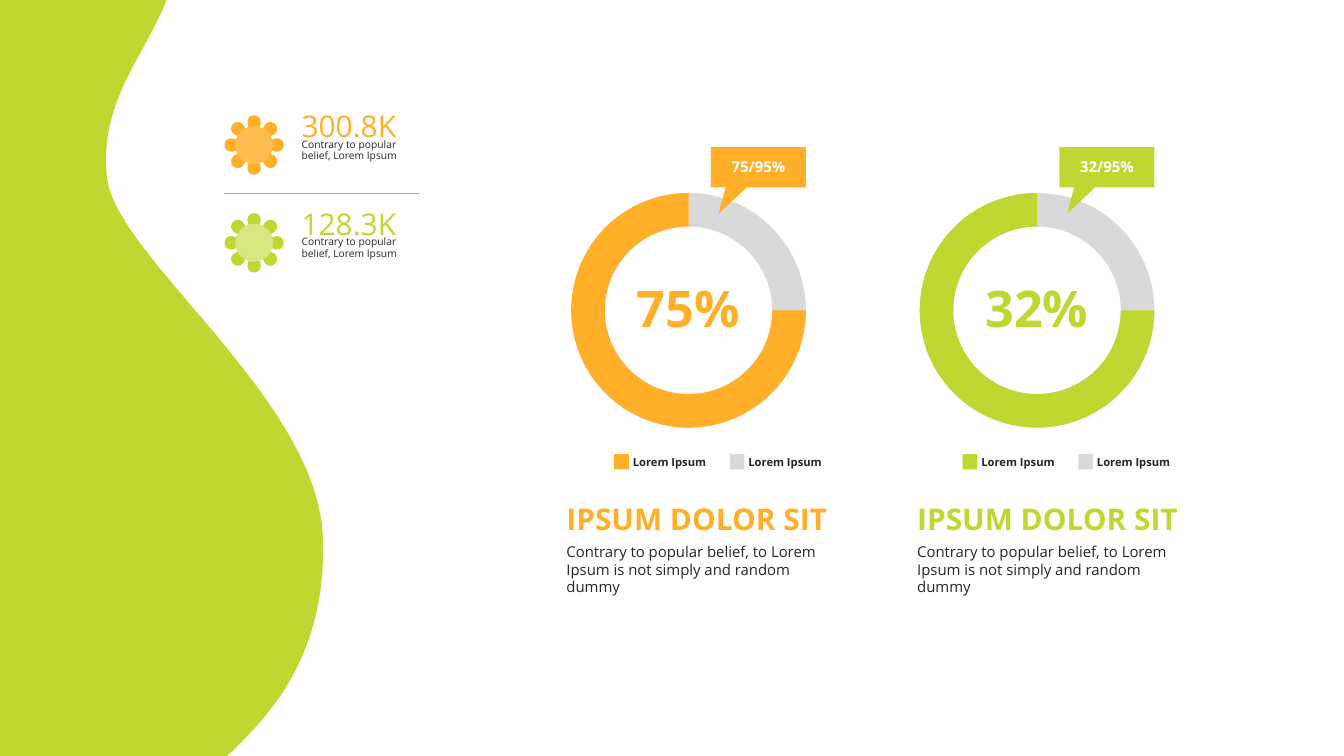
import math

import lxml.etree
import pptx
import pptx.dml.color
import pptx.enum.shapes
import pptx.enum.text
import pptx.oxml.ns
import pptx.util

RGBColor = pptx.dml.color.RGBColor
Pt = pptx.util.Pt
MSO_SHAPE = pptx.enum.shapes.MSO_SHAPE
PP_ALIGN = pptx.enum.text.PP_ALIGN

ORANGE = RGBColor(0xFF, 0xAF, 0x28)
PALE_ORANGE = RGBColor(0xFF, 0xBD, 0x4F)
GREEN = RGBColor(0xBF, 0xD7, 0x30)
PALE_GREEN = RGBColor(0xD9, 0xE7, 0x83)
GREY = RGBColor(0xD9, 0xD9, 0xD9)
RULE_GREY = RGBColor(0xA6, 0xA6, 0xA6)
INK = RGBColor(0x26, 0x26, 0x26)
WHITE = RGBColor(0xFF, 0xFF, 0xFF)


def bezier(start, first, second, end, steps=24):
    """Return points along a cubic curve, without its start."""
    points = []
    for step in range(1, steps + 1):
        t = step / steps
        weights = ((1 - t) ** 3, 3 * t * (1 - t) ** 2, 3 * t * t * (1 - t), t ** 3)
        points.append(tuple(
            sum(weight * value for weight, value in zip(weights, axis))
            for axis in zip(start, first, second, end)))
    return points


class Painter:
    """Hold the style and the current slide, and draw each kind of element."""

    def __init__(self, slide, font="Open Sans"):
        self.shapes = slide.shapes
        self.font = font

    def paint(self, shape, color):
        """Give a shape a flat fill with no line or shadow."""
        shape.shadow.inherit = False
        shape.fill.solid()
        shape.fill.fore_color.rgb = color
        shape.line.fill.background()

    def preset(self, kind, left, top, width, height, color, adjustments=()):
        """Draw a filled preset shape."""
        shape = self.shapes.add_shape(kind, Pt(left), Pt(top), Pt(width), Pt(height))
        for index, value in enumerate(adjustments):
            shape.adjustments[index] = value
        self.paint(shape, color)

    def outline(self, points, color):
        """Draw a filled closed outline."""
        corners = [(Pt(x), Pt(y)) for x, y in points]
        builder = self.shapes.build_freeform(*corners[0], scale=1.0)
        builder.add_line_segments(corners[1:], close=True)
        self.paint(builder.convert_to_shape(), color)

    def text(self, wording, left, top, width, height, size, color,
             bold=False, wrap=True, align=PP_ALIGN.LEFT, spacing=None):
        """Write one paragraph in a text box."""
        box = self.shapes.add_textbox(Pt(left), Pt(top), Pt(width), Pt(height))
        frame = box.text_frame
        frame.word_wrap = wrap
        frame.auto_size = pptx.enum.text.MSO_AUTO_SIZE.SHAPE_TO_FIT_TEXT
        frame.text = wording
        paragraph = frame.paragraphs[0]
        paragraph.alignment = align
        if spacing:
            paragraph.line_spacing = Pt(spacing)
        font = paragraph.runs[0].font
        font.name, font.size, font.bold = self.font, Pt(size), bold
        font.color.rgb = color

    def rule(self, left, right, y):
        """Draw a thin horizontal line."""
        line = self.shapes.add_connector(
            pptx.enum.shapes.MSO_CONNECTOR.STRAIGHT, Pt(left), Pt(y), Pt(right), Pt(y))
        line.line.color.rgb = RULE_GREY
        line.line.width = Pt(1)
        properties = line._element.find(pptx.oxml.ns.qn("p:spPr"))
        lxml.etree.SubElement(properties, pptx.oxml.ns.qn("a:effectLst"))

    def wave(self):
        """Draw the green band along the left edge."""
        edge = [(180, -5), (177.1, 3.6)]
        for curve in (
                ((152.6, 63.4), (106.6, 109.4), (114.5, 189.4)),
                ((122.4, 275), (343.4, 428.4), (346.3, 578.9)),
                ((349.9, 728.6), (259.9, 789.8), (235.4, 818.6))):
            edge += bezier(edge[-1], *curve)
        edge.append((-138.2, 818.6))
        for curve in (
                ((-111.6, 686.2), (4.3, 579.6), (-15.1, 476.6)),
                ((-35.3, 373.7), (-156.2, 351.4), (-192.2, 288.7)),
                ((-227.5, 226.8), (-231.8, 188.6), (-229.7, 101.5))):
            edge += bezier(edge[-1], *curve)
        edge.append((-229.7, -5))
        self.outline(edge, GREEN)

    def flower(self, x, y, color, heart):
        """Draw eight petals round a disc centred on x, y."""
        half = [(7, 23)] + bezier((7, 23), (7.7, 27.6), (5, 31.7), (0, 31.7), 10)
        petal = [(0, 0)] + half + [(-a, b) for a, b in reversed(half[:-1])]
        for turn in range(8):
            angle = turn * math.pi / 4
            cos, sin = math.cos(angle), math.sin(angle)
            self.outline([(x + a * cos - b * sin, y + a * sin + b * cos)
                          for a, b in petal], color)
        self.preset(MSO_SHAPE.OVAL, x - 20.3, y - 20.3, 40.6, 40.6, heart)

    def statistic(self, top, figure, width, color, heart):
        """Draw a flower with its figure and remark."""
        self.flower(272.3, top + 43.1, color, heart)
        self.text(figure, 316.1, top, width, 46, 32, color)
        self.text("Contrary to popular belief, Lorem Ipsum",
                  316.1, top + 33.1, 138.2, 31.7, 11, INK, spacing=12)

    def gauge(self, left, caption_left, percent, ratio, color):
        """Draw a ring with its callout, legend and caption."""
        centre = PP_ALIGN.CENTER
        self.text(percent, left + 62.6, 293, 126, 72.7, 54, color, True, False, centre)
        ring = (left, 206.8, 251.4, 251.4)
        self.preset(MSO_SHAPE.DONUT, *ring, GREY, (0.143,))
        self.preset(MSO_SHAPE.BLOCK_ARC, *ring, color, (0, 162, 0.143))

        for offset, key in ((46.1, color), (169.9, GREY)):
            self.preset(MSO_SHAPE.RECTANGLE, left + offset, 486.7, 15.8, 16.2, key)
            self.text("Lorem Ipsum", left + offset + 12.9, 483.8, 94.3, 21.6,
                      12, INK, True, False)
        self.text("IPSUM DOLOR SIT", caption_left, 532.8, 297.4, 46, 32, color, True, False)
        self.text("Contrary to popular belief, to Lorem Ipsum is not simply and random dummy",
                  caption_left, 577.4, 293.8, 65.5, 16, INK)

        callout = ((251.4, 157.7), (149.8, 157.7), (149.8, 200.9), (165.5, 200.9),
                   (157.9, 229), (188, 200.9), (251.4, 200.9))
        self.outline([(left + x, y) for x, y in callout], color)
        self.text(ratio, left + 163.5, 164.9, 74.2, 26.6, 16, WHITE, True, align=centre)


def main():
    """Build the slide and save it."""
    deck = pptx.Presentation()
    deck.slide_width, deck.slide_height = Pt(1440), Pt(810)
    painter = Painter(deck.slides.add_slide(deck.slide_layouts[6]))
    painter.wave()
    painter.gauge(612, 599.8, "75%", "75/95%", ORANGE)
    painter.gauge(985.4, 975.6, "32%", "32/95%", GREEN)
    painter.statistic(112.3, "300.8K", 152.6, ORANGE, PALE_ORANGE)
    painter.rule(240.5, 448.6, 207.4)
    painter.statistic(217.1, "128.3K", 138.2, GREEN, PALE_GREEN)
    deck.save("out.pptx")


if __name__ == "__main__":
    main()
